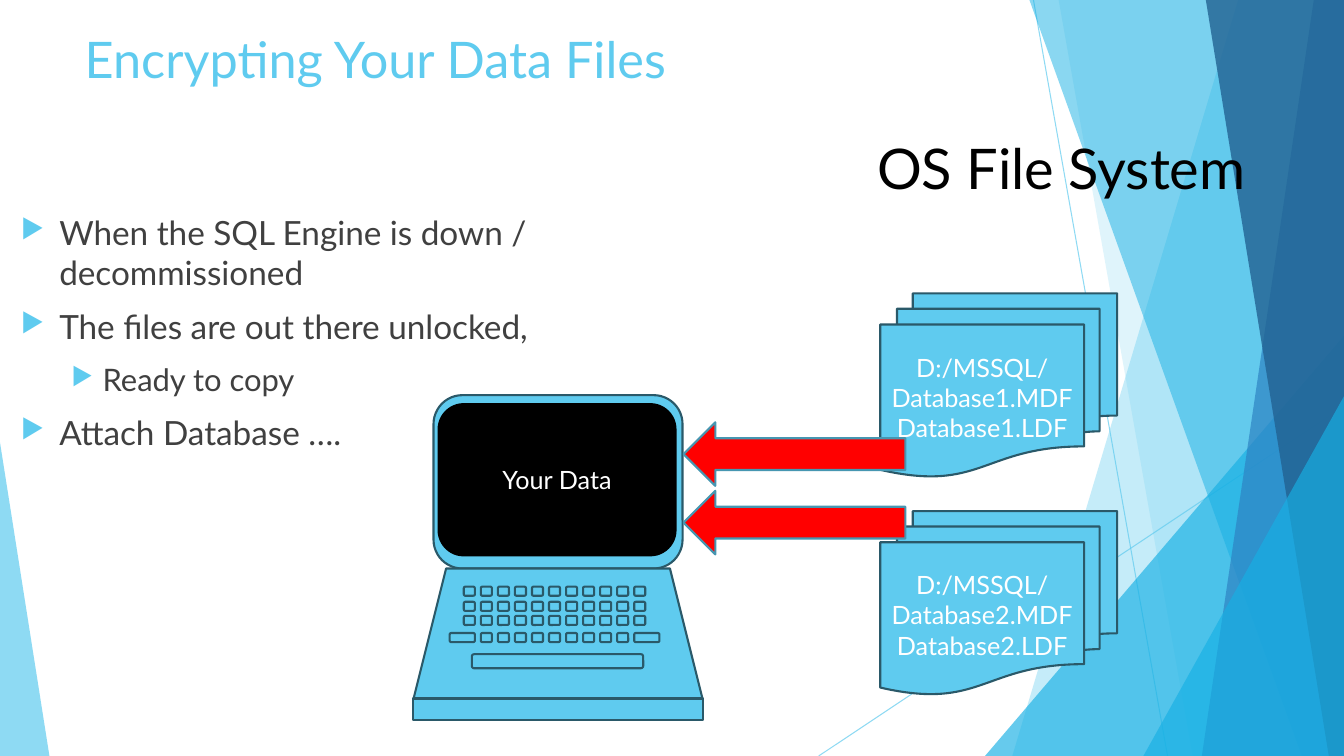
from pptx import Presentation
from pptx import util as u
from pptx.dml.color import RGBColor
from pptx.enum import shapes, text
from pptx.oxml.ns import qn
from lxml import etree

SKY = RGBColor(0x5F, 0xCB, 0xEF)
AZURE = RGBColor(0x17, 0xB0, 0xE4)
BLUE = RGBColor(0x2E, 0x83, 0xC3)
NAVY = RGBColor(0x22, 0x62, 0x92)
OUTLINE = RGBColor(0x2A, 0x59, 0x69)
ARROW_EDGE = RGBColor(0x46, 0x96, 0xB1)
RED = RGBColor(0xFF, 0, 0)
BLACK = RGBColor(0, 0, 0)
WHITE = RGBColor(0xFF, 0xFF, 0xFF)
GREY = RGBColor(0x40, 0x40, 0x40)
KIND = shapes.MSO_SHAPE
ANCHOR = text.MSO_ANCHOR


class SlideBuilder:
    font = "Lato"

    def __init__(self, slide):
        self.slide = slide
        self.shapes = slide.shapes

    def box(self, *lengths):
        return [u.Inches(length) for length in lengths]

    def set_opacity(self, shape, percent):
        for color in shape._element.spPr.iter(qn("a:srgbClr")):
            etree.SubElement(color, qn("a:alpha"), val=str(percent * 1000))

    def format_runs(self, paragraph, size, color):
        for run in paragraph.runs:
            run.font.name = self.font
            run.font.size = u.Pt(size)
            run.font.color.rgb = color

    def title(self, words, place):
        title = self.slide.shapes.title
        title.left, title.top, title.width, title.height = self.box(*place)
        frame = title.text_frame
        frame.text = words
        frame.vertical_anchor = ANCHOR.TOP
        frame.paragraphs[0].alignment = text.PP_ALIGN.LEFT
        self.format_runs(frame.paragraphs[0], 36, SKY)

    def label(self, words, place, size):
        frame = self.shapes.add_textbox(*self.box(*place)).text_frame
        frame.word_wrap = True
        frame.text = words
        self.format_runs(frame.paragraphs[0], size, BLACK)

    def bullets(self, items, place):
        frame = self.shapes.add_textbox(*self.box(*place)).text_frame
        frame.word_wrap = True
        for index, (level, words) in enumerate(items):
            paragraph = frame.add_paragraph() if index else frame.paragraphs[0]
            paragraph.text = words
            paragraph.level = level
            margin, indent, size = ((0.38, -0.38, 23.8), (0.81, -0.31, 22.1))[level]
            properties = paragraph._p.get_or_add_pPr()
            properties.set("marL", str(u.Inches(margin)))
            properties.set("indent", str(u.Inches(indent)))
            color = etree.SubElement(properties, qn("a:buClr"))
            etree.SubElement(color, qn("a:srgbClr"), val=str(SKY))
            etree.SubElement(properties, qn("a:buSzPct"), val="80000")
            etree.SubElement(properties, qn("a:buChar"), char="▶")
            if index:
                paragraph.space_before = u.Pt(10)
            self.format_runs(paragraph, size, GREY)

    def shape(self, kind, place, fill=SKY, line=OUTLINE, words="", adjust=None):
        shape = self.shapes.add_shape(kind, *self.box(*place))
        shape.shadow.inherit = False
        shape.fill.solid()
        shape.fill.fore_color.rgb = fill
        if line is None:
            shape.line.fill.background()
        else:
            shape.line.color.rgb = line
            shape.line.width = u.Pt(1.5)
        if adjust is not None:
            shape.adjustments[0] = adjust
        if words:
            frame = shape.text_frame
            frame.word_wrap = True
            frame.vertical_anchor = ANCHOR.MIDDLE
            frame.text = words
            frame.paragraphs[0].alignment = text.PP_ALIGN.CENTER
            self.format_runs(frame.paragraphs[0], 18, WHITE)
        return shape

    def triangle(self, place, fill, apex, opacity):
        shape = self.shape(KIND.ISOSCELES_TRIANGLE, place, fill, None, adjust=apex)
        self.set_opacity(shape, opacity)

    def band(self, top, bottom, fill, opacity):
        corners = [(top, 0), (13.33, 0), (13.33, 7.5), (bottom, 7.5)]
        points = [self.box(*corner) for corner in corners]
        builder = self.shapes.build_freeform(*points[0])
        builder.add_line_segments(points[1:], close=True)
        shape = builder.convert_to_shape()
        shape.shadow.inherit = False
        shape.fill.solid()
        shape.fill.fore_color.rgb = fill
        shape.line.fill.background()
        self.set_opacity(shape, opacity)

    def line(self, ends):
        line = self.shapes.add_connector(shapes.MSO_CONNECTOR.STRAIGHT, *self.box(*ends))
        line.line.color.rgb = SKY
        line.line.width = u.Pt(0.75)
        self.set_opacity(line, 70)
        etree.SubElement(line._element.spPr, qn("a:effectLst"))

    def backdrop(self):
        self.line((10.25, 0, 11.58, 7.5))
        self.line((13.33, 4.03, 8.12, 7.5))
        self.band(12.28, 10.04, SKY, 36)
        self.band(10.5, 11.83, SKY, 20)
        self.triangle((9.77, 3.33, 3.56, 4.17), AZURE, 1, 66)
        self.band(10.21, 12.91, AZURE, 50)
        self.band(13.03, 11.92, BLUE, 70)
        self.band(11.96, 13.18, NAVY, 80)
        self.triangle((11.34, 3.93, 1.99, 3.57), AZURE, 1, 66)
        self.triangle((0, 4.39, 0.49, 3.11), SKY, 0, 70)

    def laptop(self):
        self.shapes = self.slide.shapes.add_group_shape().shapes
        self.shape(KIND.ROUNDED_RECTANGLE, (4.3, 3.92, 2.47, 1.72))
        self.shape(KIND.ROUNDED_RECTANGLE, (4.35, 4.01, 2.35, 1.5), BLACK, BLACK, "Your Data")
        self.shape(KIND.TRAPEZOID, (4.1, 5.64, 2.87, 1.3), adjust=0.25)
        self.shape(KIND.RECTANGLE, (4.1, 6.93, 2.87, 0.21))
        self.shape(KIND.ROUNDED_RECTANGLE, (4.68, 6.49, 1.7, 0.14))
        for top in (5.82, 5.97, 6.11, 6.28):
            for column in range(11):
                left, width = 4.6 + 0.169 * column, 0.11
                if top == 6.28 and column in (0, 10):
                    left, width = (4.46 if column == 0 else 6.29), 0.25
                self.shape(KIND.ROUNDED_RECTANGLE, (left, top, width, 0.09))
        self.shapes = self.slide.shapes


def main():
    presentation = Presentation()
    presentation.slide_width = u.Inches(13.33)
    presentation.slide_height = u.Inches(7.5)
    builder = SlideBuilder(presentation.slides.add_slide(presentation.slide_layouts[5]))
    builder.backdrop()
    builder.title("Encrypting Your Data Files", (0.74, 0.23, 9.4, 1.44))
    builder.bullets([
        (0, "When the SQL Engine is down / decommissioned"),
        (0, "The files are out there unlocked,"),
        (1, "Ready to copy"),
        (0, "Attach Database …."),
    ], (0.11, 2.06, 5.6, 2.6))
    builder.label("OS File System", (8.6, 1.28, 3.99, 0.77), 40)
    for number, top in ((1, 2.91), (2, 5.07)):
        words = f"D:/MSSQL/\vDatabase{number}.MDF\vDatabase{number}.LDF"
        builder.shape(KIND.FLOWCHART_MULTIDOCUMENT, (8.73, top, 2.35, 1.82), words=words)
    builder.laptop()
    for top in (4.19, 4.87):
        builder.shape(KIND.LEFT_ARROW, (6.78, top, 2.2, 0.63), RED, ARROW_EDGE)
    presentation.save("out.pptx")


if __name__ == "__main__":
    main()
